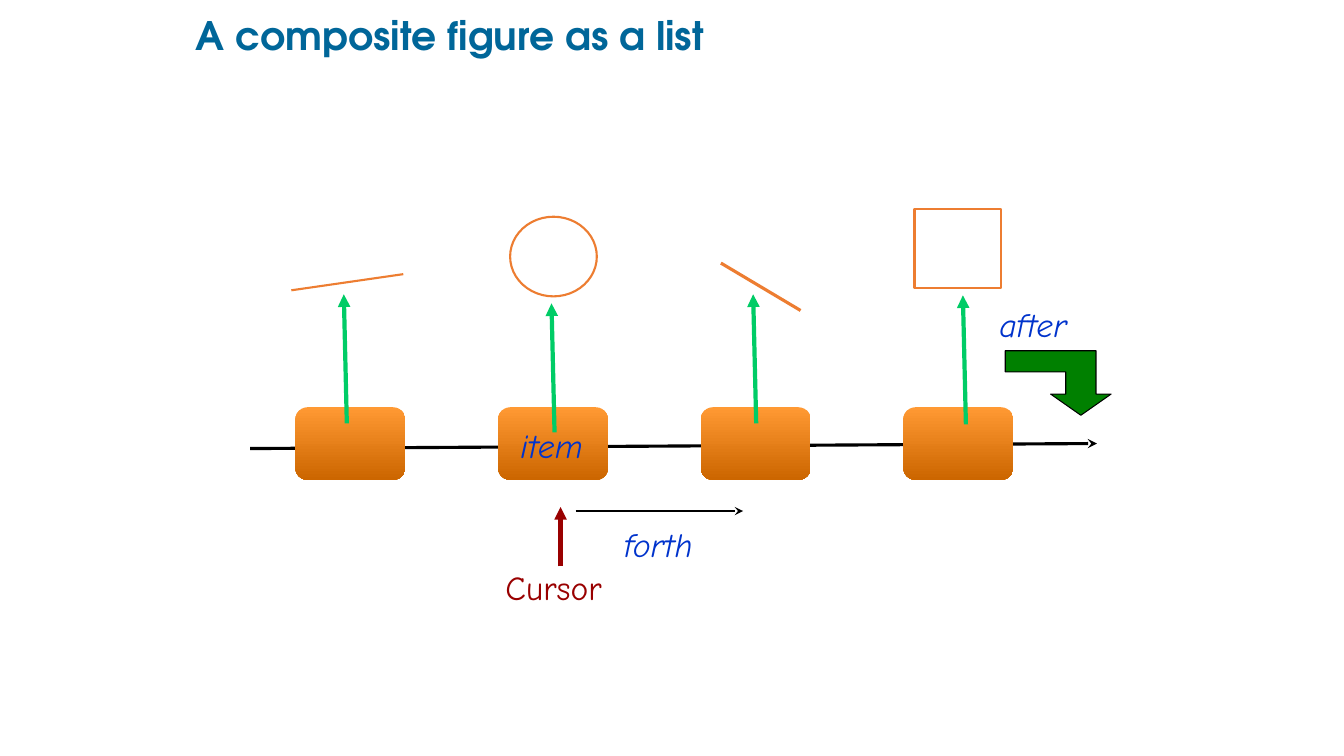
from pptx import Presentation
from pptx import util as u
from pptx.dml.color import RGBColor
from pptx.enum import shapes, text
from pptx.oxml.ns import qn
from lxml import etree

BLACK = RGBColor(0, 0, 0)
TEAL = RGBColor(0x00, 0x66, 0x99)
BLUE = RGBColor(0x00, 0x33, 0xCC)
DARK_RED = RGBColor(0x99, 0, 0)
LIGHT_GREEN = RGBColor(0x00, 0xCC, 0x66)
DARK_GREEN = RGBColor(0, 0x80, 0)
OUTLINE = RGBColor(0xED, 0x7D, 0x31)
CELL_TOP = RGBColor(0xFF, 0x99, 0x33)
CELL_BOTTOM = RGBColor(0xCC, 0x66, 0)

KIND = shapes.MSO_SHAPE
title = "A composite figure as a list"
labels = [
    ("Cursor", (4.65, 5.58, 1.68, 0.5), DARK_RED, False),
    ("item", (5.01, 4.17, 0.92, 0.5), BLUE, True),
    ("forth", (5.79, 5.15, 1.48, 0.5), BLUE, True),
    ("after", (9.65, 2.97, 1.19, 0.5), BLUE, True),
]
list_axis = ((2.48, 4.45), (10.88, 4.4), BLACK, 2.25, "stealth")
moves = [
    ((5.56, 5.62), (5.56, 5.03), DARK_RED, 3, "triangle"),
    ((5.71, 5.07), (7.37, 5.07), BLACK, 2, "stealth"),
]
segments = [
    ((2.89, 2.88), (4, 2.72), OUTLINE, 1.5, None),
    ((7.15, 2.61), (7.94, 3.08), OUTLINE, 2.25, None),
]
closed_figures = [(KIND.OVAL, 5.06, 2.15), (KIND.RECTANGLE, 9.07, 2.07)]
figure_size = (0.86, 0.79)
cell_left, cell_step, cell_count = 2.93, 2.01, 4
cell_top, cell_size = 4.04, (1.09, 0.72)
reference_starts = [(3.44, 4.2), (5.5, 4.29), (7.5, 4.2), (9.58, 4.21)]
reference_shift = (-0.03, -1.28)
after_arrow = [(10.72, 4.12), (10.42, 3.91), (10.57, 3.91), (10.57, 3.69), (9.97, 3.69),
               (9.97, 3.48), (10.87, 3.48), (10.87, 3.91), (11.02, 3.91)]

deck = Presentation()
deck.slide_width, deck.slide_height = u.Inches(13.33), u.Inches(7.5)
slide = deck.slides.add_slide(deck.slide_layouts[6])


def inches(values):
    return [u.Inches(value) for value in values]


def apply(target, **formats):
    for key, value in formats.items():
        setattr(target, key, value)


def add_line(start, end, color, width, head):
    line = slide.shapes.add_connector(shapes.MSO_CONNECTOR.STRAIGHT, *inches(start + end))
    line.line.color.rgb = color
    line.line.width = u.Pt(width)
    if head:
        etree.SubElement(line.line._get_or_add_ln(), qn("a:tailEnd"), type=head)
    etree.SubElement(line._element.spPr, qn("a:effectLst"))


def add_figure(kind, left, top, size):
    figure = slide.shapes.add_shape(kind, *inches((left, top, *size)))
    figure.shadow.inherit = False
    return figure


def add_text(words, box, frame_format, paragraph_format, font_format, color):
    frame = slide.shapes.add_textbox(*inches(box)).text_frame
    apply(frame, word_wrap=True, **frame_format)
    paragraph = frame.paragraphs[0]
    apply(paragraph, **paragraph_format)
    run = paragraph.add_run()
    run.text = words
    apply(run.font, **font_format)
    run.font.color.rgb = color


add_line(*list_axis)
no_margins = {f"margin_{side}": 0 for side in ("left", "top", "right", "bottom")}
add_text(title, (1.94, 0.13, 8.69, 0.48),
         dict(no_margins, vertical_anchor=text.MSO_ANCHOR.MIDDLE), {"line_spacing": 0.9},
         {"name": "TeX Gyre Adventor", "size": u.Pt(28), "bold": True}, TEAL)

for index in range(cell_count):
    cell = add_figure(KIND.ROUNDED_RECTANGLE, cell_left + index * cell_step, cell_top, cell_size)
    cell.line.fill.background()
    cell.fill.gradient()
    cell.fill.gradient_angle = 270
    for stop, color, position in zip(cell.fill.gradient_stops, (CELL_TOP, CELL_BOTTOM), (0, 1)):
        stop.color.rgb = color
        stop.position = position

for x, y in reference_starts:
    add_line((x, y), (x + reference_shift[0], y + reference_shift[1]), LIGHT_GREEN, 3, "triangle")

for kind, left, top in closed_figures:
    figure = add_figure(kind, left, top, figure_size)
    figure.fill.background()
    figure.line.color.rgb = OUTLINE
    figure.line.width = u.Pt(1.5)

for line in segments + moves:
    add_line(*line)

outline = slide.shapes.build_freeform(*inches(after_arrow[0]))
outline.add_line_segments([inches(point) for point in after_arrow[1:]], close=True)
after = outline.convert_to_shape()
after.shadow.inherit = False
after.fill.solid()
after.fill.fore_color.rgb = DARK_GREEN
after.line.color.rgb = BLACK
after.line.width = u.Pt(0.75)

for words, box, color, italic in labels:
    add_text(words, box, {}, {"alignment": text.PP_ALIGN.CENTER},
             {"name": "Comic Neue", "size": u.Pt(24), "italic": italic}, color)

deck.save("out.pptx")
